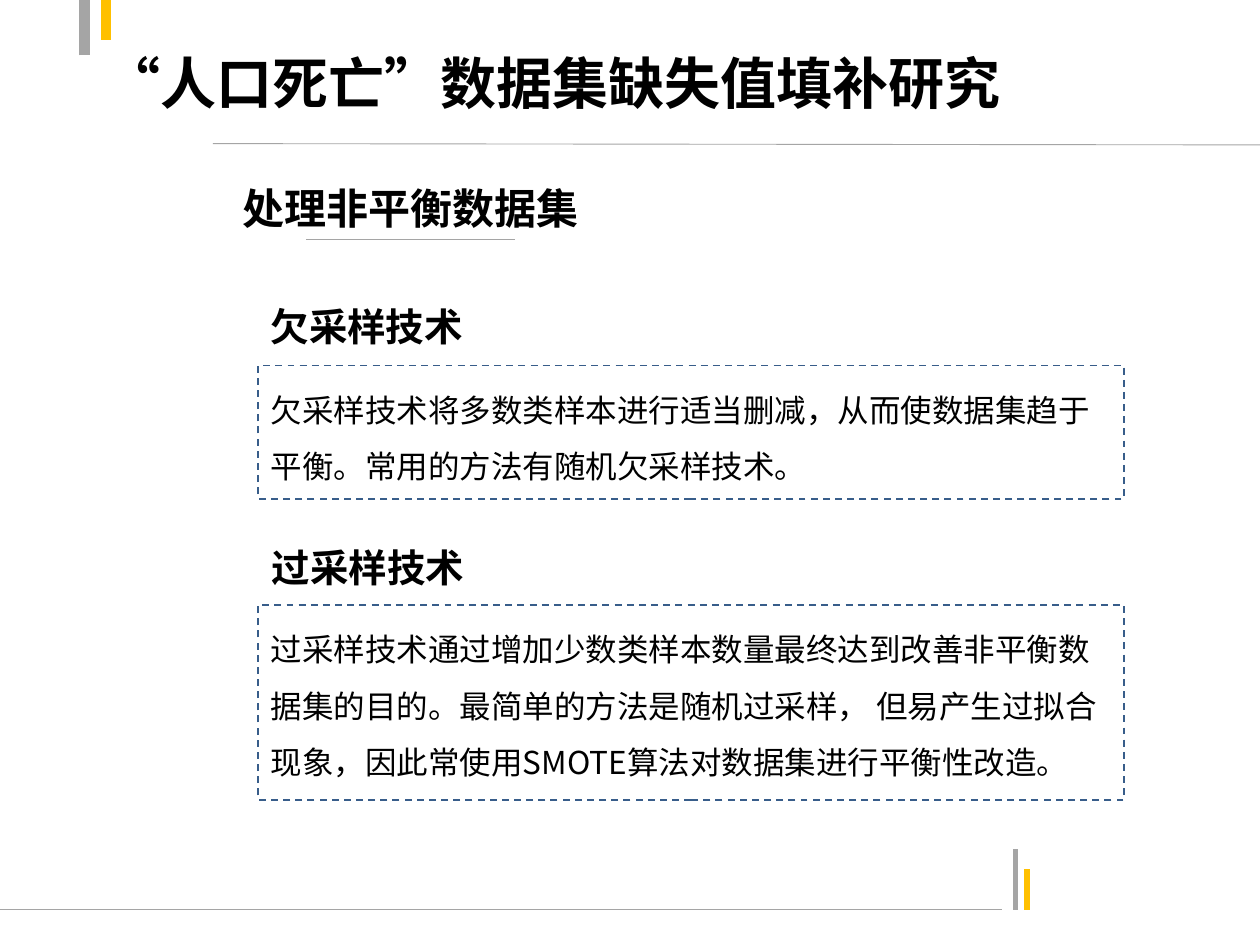
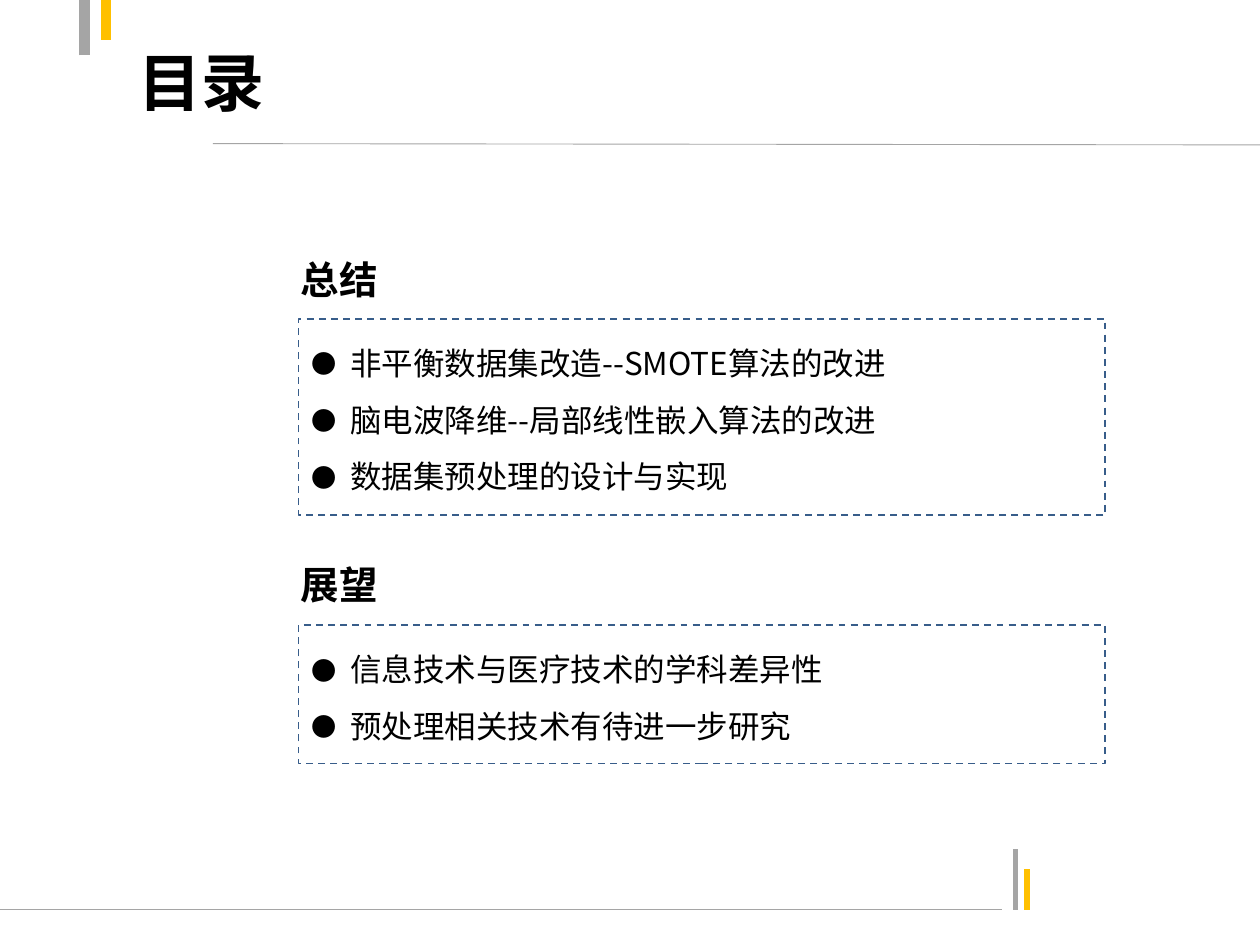
from pptx import Presentation
from pptx.dml.color import RGBColor
from pptx.enum.dml import MSO_LINE
from pptx.enum.shapes import MSO_CONNECTOR
from pptx.enum.text import MSO_ANCHOR, MSO_AUTO_SIZE, PP_ALIGN
from pptx.oxml.ns import qn
from pptx.util import Inches, Pt
from lxml.etree import SubElement

FONT = "Noto Sans CJK SC"
BLACK = RGBColor(0x00, 0x00, 0x00)
GREY = RGBColor(0xA5, 0xA5, 0xA5)
GOLD = RGBColor(0xFF, 0xC0, 0x00)
BLUE = RGBColor(0x38, 0x5D, 0x8A)
TWO_CONTENT = 3
INDENT = 0.31

# Content: each section is (heading, heading position, box position, paragraphs)
SLIDES = [
    {
        "title": ("“人口死亡”数据集缺失值填补研究", 32, (0.73, 0.03, 9, 1.25)),
        "subtitle": ("处理非平衡数据集", (1.39, 1.28, 3.74, 0.62)),
        "bullets": False,
        "sections": [
            ("欠采样技术", (2.05, 2.36, 5.87, 0.47), (2.05, 2.9, 6.87, 1.06),
             ["欠采样技术将多数类样本进行适当删减，从而使数据集趋于平衡。"
              "常用的方法有随机欠采样技术。"]),
            ("过采样技术", (2.06, 4.27, 5.87, 0.47), (2.05, 4.8, 6.87, 1.55),
             ["过采样技术通过增加少数类样本数量最终达到改善非平衡数据集的目的。"
              "最简单的方法是随机过采样， 但易产生过拟合现象，"
              "因此常使用SMOTE算法对数据集进行平衡性改造。"]),
        ],
    },
    {
        "title": ("目录", 36, (1, 0.02, 3.84, 1.25)),
        "subtitle": None,
        "bullets": True,
        "sections": [
            ("总结", (2.29, 1.98, 5.99, 0.49), (2.37, 2.53, 6.4, 1.56),
             ["非平衡数据集改造--SMOTE算法的改进",
              "脑电波降维--局部线性嵌入算法的改进",
              "数据集预处理的设计与实现"]),
            ("展望", (2.29, 4.4, 5.99, 0.49), (2.37, 4.96, 6.4, 1.1),
             ["信息技术与医疗技术的学科差异性",
              "预处理相关技术有待进一步研究"]),
        ],
    },
]

# Frame lines shared by all slides: start, end, colour, width
FRAME = [
    ((-0.04, 7.22), (7.95, 7.22), GREY, 0.75),
    ((8.06, 7.22), (8.06, 6.74), GREY, 3),
    ((8.15, 7.22), (8.15, 6.9), GOLD, 3),
    ((0.67, 0.44), (0.67, -0.03), GREY, 6),
    ((0.84, 0), (0.84, 0.32), GOLD, 6),
    ((1.69, 1.14), (10.01, 1.15), GREY, 0.5),
]
SUBTITLE_RULE = ((2.43, 1.9), (4.09, 1.9), GREY, 0.5)


def add_line(s, start, end, color, width):
    line = s.shapes.add_connector(
        MSO_CONNECTOR.STRAIGHT, *(Inches(v) for v in start + end))
    line.line.color.rgb = color
    line.line.width = Pt(width)
    SubElement(line._element.spPr, qn("a:effectLst"))


def place(sp, box):
    sp.left, sp.top, sp.width, sp.height = (Inches(v) for v in box)


def add_run(p, text, size, bold=False):
    r = p.add_run()
    r.text = text
    r.font.size = Pt(size)
    r.font.bold = bold
    r.font.name = FONT
    r.font.color.rgb = BLACK
    SubElement(r._r.get_or_add_rPr(), qn("a:ea")).set("typeface", FONT)


def set_bullet(p, shown):
    pPr = p._p.get_or_add_pPr()
    indent = Inches(INDENT) if shown else 0
    pPr.set("marL", str(indent))
    pPr.set("indent", str(-indent))
    if shown:
        SubElement(pPr, qn("a:buSzPct")).set("val", "80000")
        SubElement(pPr, qn("a:buFont")).set("typeface", FONT)
        SubElement(pPr, qn("a:buChar")).set("char", "●")
    else:
        SubElement(pPr, qn("a:buNone"))


def add_heading(s, text, box, size):
    sp = s.shapes.add_textbox(*(Inches(v) for v in box))
    sp.text_frame.word_wrap = True
    p = sp.text_frame.paragraphs[0]
    add_run(p, text, size, bold=True)
    return p


def fill_title(sp, text, size, box):
    place(sp, box)
    tf = sp.text_frame
    tf.auto_size = MSO_AUTO_SIZE.NONE
    tf.vertical_anchor = MSO_ANCHOR.MIDDLE
    p = tf.paragraphs[0]
    p.alignment = PP_ALIGN.LEFT
    add_run(p, text, size, bold=True)


def fill_dashed_box(sp, box, lines, bullets):
    place(sp, box)
    sp.line.color.rgb = BLUE
    sp.line.width = Pt(1)
    sp.line.dash_style = MSO_LINE.DASH
    tf = sp.text_frame
    tf.auto_size = MSO_AUTO_SIZE.NONE
    for i, text in enumerate(lines):
        p = tf.add_paragraph() if i else tf.paragraphs[0]
        p.line_spacing = 1.5
        p.space_before = Pt(0)
        set_bullet(p, bullets)
        add_run(p, text, 18)


def build_slide(prs, content):
    s = prs.slides.add_slide(prs.slide_layouts[TWO_CONTENT])
    for line in FRAME:
        add_line(s, *line)
    fill_title(s.shapes.title, *content["title"])

    # Underlined subtitle
    if content["subtitle"]:
        add_line(s, *SUBTITLE_RULE)
        p = add_heading(s, *content["subtitle"], 24)
        p.alignment = PP_ALIGN.CENTER
        p.line_spacing = 1.3

    # Headed sections, one body placeholder each
    for idx, (heading, head_box, box, lines) in enumerate(content["sections"], 1):
        add_heading(s, heading, head_box, 22)
        fill_dashed_box(s.placeholders[idx], box, lines, content["bullets"])

    # Remove the placeholders that hold no text
    for sp in list(s.placeholders):
        if not sp.text_frame.text:
            sp._element.getparent().remove(sp._element)


def main():
    prs = Presentation()
    prs.slide_width, prs.slide_height = Inches(10), Inches(7.5)
    for content in SLIDES:
        build_slide(prs, content)
    prs.save("out.pptx")


if __name__ == "__main__":
    main()
